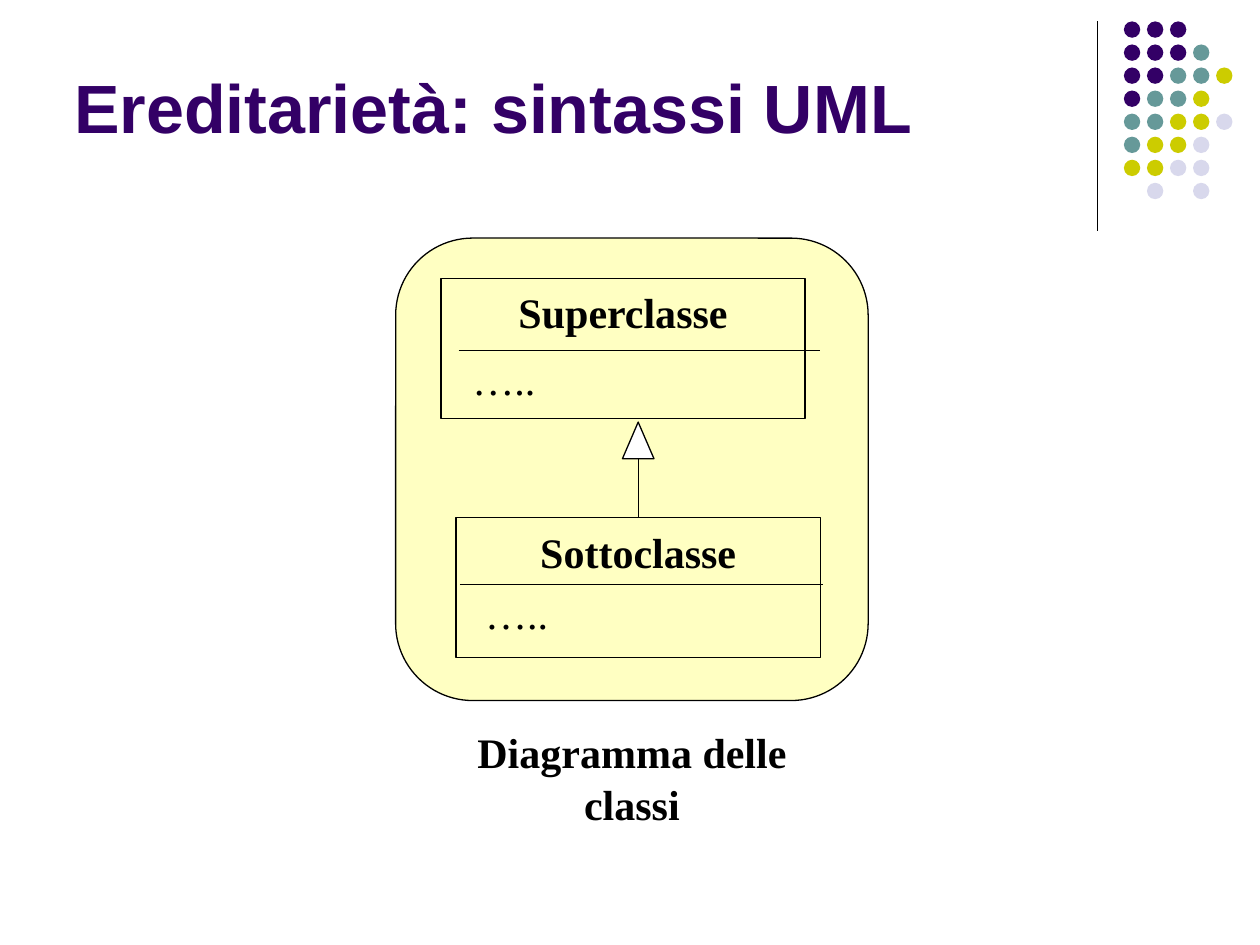
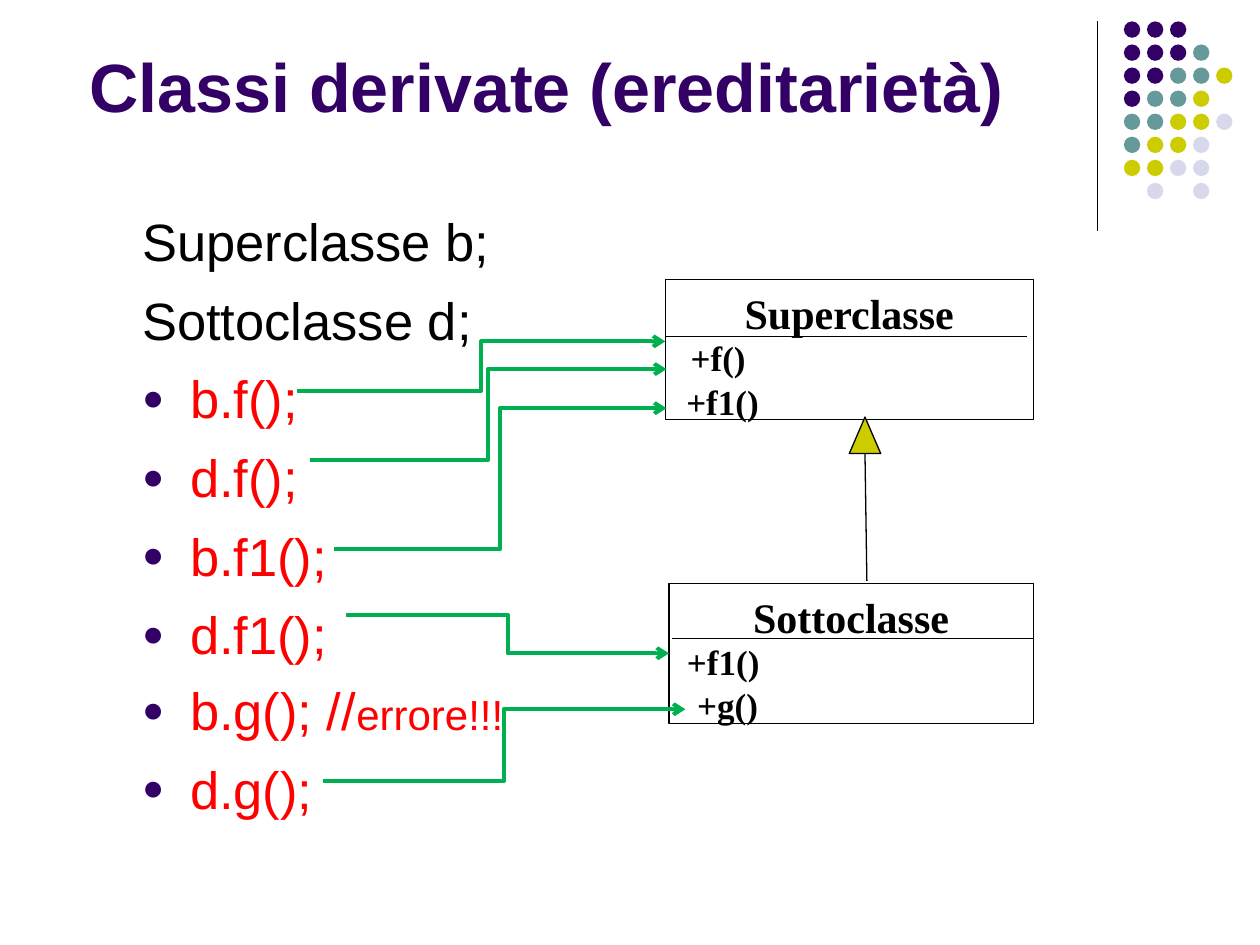
from lxml import etree
from pptx import Presentation
from pptx.dml.color import RGBColor
from pptx.enum.shapes import MSO_CONNECTOR, MSO_SHAPE
from pptx.enum.text import MSO_ANCHOR, PP_ALIGN
from pptx.oxml.ns import qn
from pptx.util import Inches, Pt

BLACK, WHITE, RED = "000000", "FFFFFF", "FF0000"
PURPLE, TEAL, OLIVE, LILAC = "330066", "669999", "CCCC00", "D8D8EC"
CREAM, GREEN = "FFFFC2", "00B050"
SANS, SERIF = "Arial", "Times New Roman"
LINE_SPACING = 1.04

DOT_COLORS = {"P": PURPLE, "T": TEAL, "O": OLIVE, "L": LILAC}
DOT_ROWS = ["PPP", "PPPT", "PPTTO", "PTTO", "TTOOL", "TOOL", "OOLL", " L L"]
DOT_PITCH, DOT_SIZE = 0.183, 0.13


def rgb(color):
    return RGBColor.from_string(color)


def add_box(shapes, kind, box, fill=None, line=BLACK):
    """Add a preset shape; a colour of None leaves out the fill or outline."""
    sp = shapes.add_shape(kind, *map(Inches, box))
    sp.shadow.inherit = False
    if fill:
        sp.fill.solid()
        sp.fill.fore_color.rgb = rgb(fill)
    else:
        sp.fill.background()
    if line:
        sp.line.color.rgb = rgb(line)
        sp.line.width = Pt(0.75)
    else:
        sp.line.fill.background()
    return sp


def style_runs(p, size, font, color, bold=False):
    for r in p.runs:
        r.font.size = Pt(size)
        r.font.name = font
        r.font.bold = bold
        r.font.color.rgb = rgb(color)


def write_label(tf, text, size=24, bold=True):
    """Fill a frame with centred serif text, one paragraph per line."""
    tf.text = text
    tf.vertical_anchor = MSO_ANCHOR.TOP
    for p in tf.paragraphs:
        p.alignment = PP_ALIGN.CENTER
        p.line_spacing = LINE_SPACING
        style_runs(p, size, SERIF, BLACK, bold)


def add_label(slide, text, box, size=24, bold=True, wrap=False):
    tf = slide.shapes.add_textbox(*map(Inches, box)).text_frame
    tf.word_wrap = wrap
    write_label(tf, text, size, bold)


def add_line(slide, start, end, color=BLACK, width=0.75,
             kind=MSO_CONNECTOR.STRAIGHT):
    cxn = slide.shapes.add_connector(kind, *map(Inches, start + end))
    cxn.line.color.rgb = rgb(color)
    cxn.line.width = Pt(width)
    etree.SubElement(cxn._element.spPr, qn("a:effectLst"))
    return cxn


def add_call_arrow(slide, start, end):
    """Link a call to the method it runs."""
    cxn = add_line(slide, start, end, GREEN, 2.25, MSO_CONNECTOR.ELBOW)
    etree.SubElement(cxn.line._get_or_add_ln(), qn("a:tailEnd"), type="arrow")
    return cxn


def add_class(slide, name, box, divider):
    """Draw a UML class; divider is its left end, right end and height."""
    sp = add_box(slide.shapes, MSO_SHAPE.RECTANGLE, box)
    sp.text_frame.word_wrap = True
    write_label(sp.text_frame, name)
    left, right, y = divider
    add_line(slide, (left, y), (right, y))
    return sp


def add_generalization(slide, left, top, fill, start):
    """Draw the inheritance triangle and the line that rises to it."""
    width, height = 0.25, 0.29
    add_box(slide.shapes, MSO_SHAPE.ISOSCELES_TRIANGLE,
            (left, top, width, height), fill)
    return add_line(slide, start, (left + width / 2, top + height))


def add_dots(slide):
    group = slide.shapes.add_group_shape()
    for row, codes in enumerate(DOT_ROWS):
        for col, code in enumerate(codes):
            if code in DOT_COLORS:
                add_box(group.shapes, MSO_SHAPE.OVAL,
                        (8.92 + col * DOT_PITCH, 0.17 + row * DOT_PITCH,
                         DOT_SIZE, DOT_SIZE), DOT_COLORS[code], None)


def add_slide(prs, title, box):
    """Add a slide with the corner decoration and a bottom-anchored title."""
    slide = prs.slides.add_slide(prs.slide_layouts[6])
    add_line(slide, (8.71, 0.17), (8.71, 1.83))
    add_dots(slide)
    tf = slide.shapes.add_textbox(*map(Inches, box)).text_frame
    tf.word_wrap = True
    tf.vertical_anchor = MSO_ANCHOR.BOTTOM
    tf.text = title
    style_runs(tf.paragraphs[0], 39, SANS, PURPLE, True)
    return slide


def add_bullet(p):
    pPr = p._p.get_or_add_pPr()
    pPr.set("marL", str(Inches(0.38)))
    pPr.set("indent", str(-Inches(0.38)))
    color = etree.SubElement(pPr, qn("a:buClr"))
    etree.SubElement(color, qn("a:srgbClr"), val=PURPLE)
    etree.SubElement(pPr, qn("a:buSzPct"), val="70000")
    etree.SubElement(pPr, qn("a:buFont"), typeface=SANS)
    etree.SubElement(pPr, qn("a:buChar"), char="●")


def add_code_list(slide, declarations, calls, box):
    """List plain declarations, then bulleted calls with optional remarks."""
    tf = slide.shapes.add_textbox(*map(Inches, box)).text_frame
    tf.word_wrap = True
    lines = [(text, "") for text in declarations] + calls
    for i, (text, remark) in enumerate(lines):
        p = tf.paragraphs[0] if i == 0 else tf.add_paragraph()
        is_call = i >= len(declarations)
        if is_call:
            add_bullet(p)
        p.text = text
        p.line_spacing = LINE_SPACING
        if i:
            p.space_before = Pt(6 if remark else 7.5)
        if remark:
            p.add_run().text = remark
        style_runs(p, 30, SANS, RED if is_call else BLACK)
        if remark:
            p.runs[-1].font.size = Pt(24)


def build_syntax_slide(prs):
    slide = add_slide(prs, "Ereditarietà: sintassi UML", (0.49, 0.07, 8.25, 1.15))
    add_box(slide.shapes, MSO_SHAPE.ROUNDED_RECTANGLE,
            (3.14, 1.89, 3.75, 3.67), CREAM)
    add_label(slide, "Diagramma delle classi", (3.27, 5.7, 3.49, 0.5))
    add_class(slide, "Superclasse", (3.5, 2.21, 2.89, 1.11), (3.64, 6.51, 2.78))
    subclass = add_class(slide, "Sottoclasse", (3.62, 4.11, 2.89, 1.11),
                         (3.65, 6.53, 4.64))
    link = add_generalization(slide, 4.94, 3.35, WHITE, (5.07, 4.11))
    link.begin_connect(subclass, 0)
    for left, top in [(3.65, 2.74), (3.75, 4.6)]:
        add_label(slide, "…..", (left, top, 0.7, 0.5), bold=False)


def build_calls_slide(prs):
    slide = add_slide(prs, "Classi derivate (ereditarietà)",
                      (0.61, -0.37, 8.25, 1.42))
    calls = [("b.f();", ""), ("d.f();", ""), ("b.f1();", ""), ("d.f1();", ""),
             ("b.g(); //", "errore!!!"), ("d.g();", "")]
    add_code_list(slide, ["Superclasse b;", "Sottoclasse d;"], calls,
                  (1.03, 1.59, 3.78, 4.82))
    add_class(slide, "Superclasse", (5.28, 2.22, 2.92, 1.11), (5.28, 8.15, 2.67))
    subclass = add_class(slide, "Sottoclasse", (5.31, 4.63, 2.89, 1.11),
                         (5.33, 8.21, 5.07))
    add_generalization(slide, 6.74, 3.31, OLIVE, (6.88, 4.61))
    add_label(slide, "+f() \n+f1()", (5.11, 2.61, 1.25, 1.1), 20, wrap=True)
    add_label(slide, "+f1() \n+g()", (5.15, 5.02, 1.25, 1.1), 20, wrap=True)

    for start, end in [((2.36, 3.1), (5.28, 2.71)),
                       ((2.46, 3.65), (5.29, 2.93)),
                       ((2.65, 4.36), (5.29, 3.24)),
                       ((2.56, 6.2), (5.44, 5.63))]:
        add_call_arrow(slide, start, end)
    override = add_call_arrow(slide, (2.75, 4.88), (5.31, 5.18))
    override.end_connect(subclass, 1)


def main():
    prs = Presentation()
    prs.slide_width, prs.slide_height = Inches(10), Inches(7.5)
    build_syntax_slide(prs)
    build_calls_slide(prs)
    prs.save("out.pptx")


if __name__ == "__main__":
    main()
